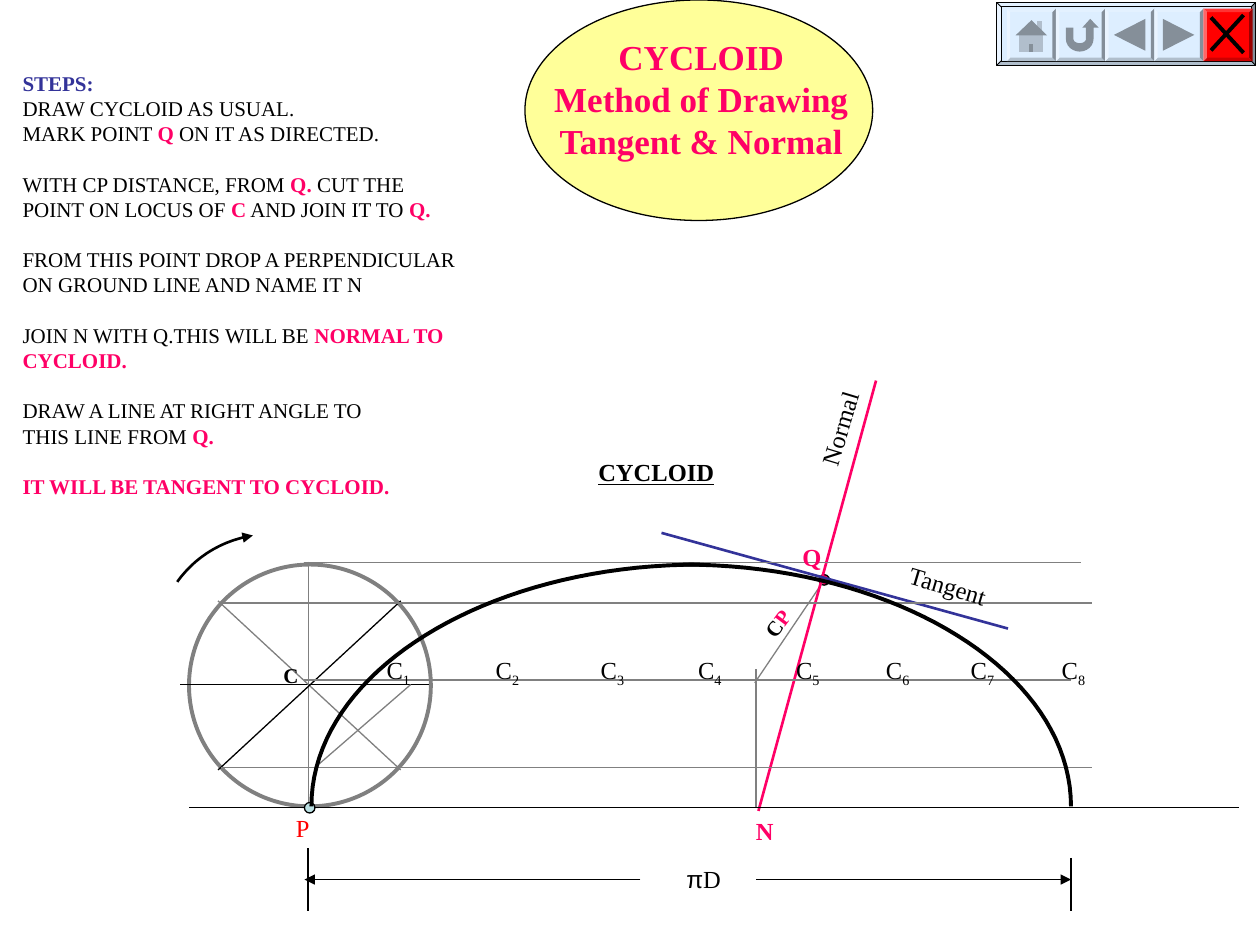
from math import cos, pi, sin

from lxml.etree import SubElement
from pptx import Presentation
from pptx.dml.color import RGBColor
from pptx.enum.shapes import MSO_CONNECTOR, MSO_SHAPE
from pptx.enum.text import MSO_AUTO_SIZE, PP_ALIGN
from pptx.oxml.ns import qn
from pptx.util import Pt


class Theme:
    black, white, gray = "000000", "FFFFFF", "808080"
    pink, blue, red = "FF0066", "333399", "FF0000"
    yellow, dot = "FFFF99", "BBE0E3"
    button, icon, icon_light = "DDEEFF", "858F99", "B1BECC"
    title, label, body = 20, 14, 12
    font, symbol_font = "Times New Roman", "Arial"
    thin, medium, thick = 0.75, 1.5, 2.25


def write(text, left, top, width, height, *, size=Theme.label, color=Theme.black,
          bold=False, underline=False, accent=None, align=PP_ALIGN.LEFT,
          wrap=False, rotation=0, gap=0):
    """Text between asterisks takes the accent format; a blank line gives a gap."""
    box = slide.shapes.add_textbox(Pt(left), Pt(top), Pt(width), Pt(height))
    box.rotation = rotation
    frame = box.text_frame
    frame.word_wrap = wrap
    frame.auto_size = MSO_AUTO_SIZE.SHAPE_TO_FIT_TEXT
    para = None
    for block in text.split("\n\n"):
        for number, line in enumerate(block.split("\n")):
            first = para is None
            para = frame.paragraphs[0] if first else frame.add_paragraph()
            para.alignment = align
            if gap and number == 0 and not first:
                para.space_before = Pt(gap)
            for index, piece in enumerate(line.split("*")):
                if not piece:
                    continue
                style = {"font": Theme.font, "color": color, "bold": bold}
                if index % 2:
                    style.update(accent)
                span = para.add_run()
                span.text = piece
                span.font.name = style["font"]
                span.font.size = Pt(size)
                span.font.bold = style["bold"]
                span.font.underline = underline
                span.font.color.rgb = RGBColor.from_string(style["color"])
                if "baseline" in style:
                    span.font._element.set("baseline", style["baseline"])
    return box


def finish(shape, fill=None, line=None, width=Theme.thin, arrow=False):
    """Set fill, line and arrowhead, and take the shadow away."""
    if fill:
        shape.fill.solid()
        shape.fill.fore_color.rgb = RGBColor.from_string(fill)
    elif hasattr(shape, "fill"):
        shape.fill.background()
    if line:
        shape.line.color.rgb = RGBColor.from_string(line)
        shape.line.width = Pt(width)
    else:
        shape.line.fill.background()
    if arrow:
        SubElement(shape.line._get_or_add_ln(), qn("a:tailEnd"), type="triangle")
    SubElement(shape._element.spPr, qn("a:effectLst"))


deck = Presentation()
deck.slide_width, deck.slide_height = Pt(720), Pt(540)
slide = deck.slides.add_slide(deck.slide_layouts[6])

# Ellipses: point Q, title, rolling circle
for left, top, width, height, fill, line, weight in [
    (468, 328.4, 6, 6, Theme.pink, Theme.black, Theme.thin),
    (300, 0, 198.7, 126, Theme.yellow, Theme.black, Theme.thin),
    (108, 322.6, 138.2, 138.2, Theme.white, Theme.gray, Theme.thick),
]:
    oval = slide.shapes.add_shape(MSO_SHAPE.OVAL, Pt(left), Pt(top), Pt(width), Pt(height))
    finish(oval, fill, line, weight)

# Straight lines, then the two halves of the dimension line
for x1, y1, x2, y2, color, weight, arrow in [
    (471.6, 330.5, 431.3, 390.2, Theme.gray, Theme.thin, False),
    (432, 382.5, 432, 461, Theme.gray, Theme.thin, False),
    (433.4, 463.4, 500.6, 217.5, Theme.pink, Theme.medium, False),
    (378, 304.5, 576, 359.2, Theme.blue, Theme.medium, False),
    (108, 461.4, 708, 461.4, Theme.black, Theme.thin, False),
    (176.4, 321, 176.4, 462, Theme.gray, Theme.thin, False),
    (103, 391.2, 245, 391.2, Theme.black, Theme.thin, False),
    (124.6, 343.4, 229, 440, Theme.gray, Theme.thin, False),
    (229, 343.4, 124.6, 440, Theme.black, Theme.thin, False),
    (174, 388.6, 612, 388.6, Theme.gray, Theme.thin, False),
    (126, 438.6, 624, 438.6, Theme.gray, Theme.thin, False),
    (126, 344.6, 624, 344.6, Theme.gray, Theme.thin, False),
    (174, 321.6, 618, 321.6, Theme.gray, Theme.thin, False),
    (234.7, 391.2, 180, 438.6, Theme.gray, Theme.thin, False),
    (176, 484.6, 176, 520.6, Theme.black, Theme.thin, False),
    (612, 490.3, 612, 520.6, Theme.black, Theme.thin, False),
    (366, 502.6, 174, 502.6, Theme.black, Theme.thin, True),
    (432, 502.6, 612, 502.6, Theme.black, Theme.thin, True),
]:
    connector = slide.shapes.add_connector(
        MSO_CONNECTOR.STRAIGHT, Pt(x1), Pt(y1), Pt(x2), Pt(y2))
    finish(connector, line=color, width=weight, arrow=arrow)

# Point P on the ground line
point = slide.shapes.add_shape(MSO_SHAPE.OVAL, Pt(174), Pt(458.6), Pt(6), Pt(6))
finish(point, Theme.dot, Theme.black)

# Rolling arrow and the two halves of the cycloid, as Bezier curves
STEPS = 40
for controls, weight, arrow in [
    ([(101.3, 332.5), (111.6, 318.2), (126.7, 308.9), (144.5, 306)], Theme.medium, True),
    ([(400, 322.6), (277.2, 322.6), (178, 384.5), (178, 460.8)], Theme.thick, False),
    ([(390.2, 322.6), (512.6, 322.6), (612, 384.5), (612, 460.8)], Theme.thick, False),
]:
    curve = []
    for step in range(STEPS + 1):
        t = step / STEPS
        weights = [(1 - t) ** 3, 3 * t * (1 - t) ** 2, 3 * t * t * (1 - t), t ** 3]
        curve.append([Pt(sum(w * c[axis] for w, c in zip(weights, controls)))
                      for axis in (0, 1)])
    builder = slide.shapes.build_freeform(*curve[0])
    builder.add_line_segments(curve[1:], close=False)
    finish(builder.convert_to_shape(), line=Theme.black, width=weight, arrow=arrow)

# Title and steps
write("CYCLOID\nMethod of Drawing\nTangent & Normal", 305.7, 16.6, 190, 79.2,
      size=Theme.title, color=Theme.pink, bold=True, align=PP_ALIGN.CENTER)
pink_bold = {"color": Theme.pink, "bold": True}
steps = write("""*STEPS:*
DRAW CYCLOID AS USUAL.
MARK POINT *Q* ON IT AS DIRECTED.

WITH CP DISTANCE, FROM *Q. *CUT THE
POINT ON LOCUS OF *C* AND JOIN IT TO *Q.*

FROM THIS POINT DROP A PERPENDICULAR
ON GROUND LINE AND NAME IT N

JOIN N WITH Q.THIS WILL BE* NORMAL TO CYCLOID.*

DRAW A LINE AT RIGHT ANGLE TO
THIS LINE FROM* Q.*

*IT WILL BE TANGENT TO CYCLOID.*""", 5.8, 36.7, 293.8, 252,
              size=Theme.body, accent=pink_bold, wrap=True, gap=14.4)
heading = steps.text_frame.paragraphs[0].runs[0]
heading.font.color.rgb = RGBColor.from_string(Theme.blue)

# Labels of the drawing
write("Q", 451.4, 306, 25.2, 24.5, color=Theme.pink, bold=True)
write("N", 424.8, 463, 24.5, 24.5, color=Theme.pink, bold=True)
write("P", 162, 460.8, 22.3, 24.5, color=Theme.red)
write("C", 154.8, 375.1, 23, 21.6, size=Theme.body, bold=True)
write("C*P*", 429.1, 345.6, 30.2, 21.6, size=Theme.body, bold=True,
      accent=pink_bold, rotation=306.7)
write("Normal", 449.9, 232.6, 60, 24.5, align=PP_ALIGN.CENTER, rotation=286.7)
write("Tangent", 509.8, 322.6, 63.4, 24.5, align=PP_ALIGN.CENTER, rotation=16.6)
write("CYCLOID", 334.8, 257.8, 80.6, 24.5, bold=True, underline=True)
write("*π*D", 372.2, 490.3, 59.8, 24.5, accent={"font": Theme.symbol_font},
      align=PP_ALIGN.CENTER, wrap=True)

# Centres C1 to C8 on tab stops
centres = write("\t".join(f"C*{number}*" for number in range(1, 9)),
                213.8, 370.8, 414, 26.6, accent={"baseline": "-25000"}, wrap=True)
tab_list = SubElement(centres.text_frame.paragraphs[0]._p.get_or_add_pPr(), qn("a:tabLst"))
for stop in (62.4, 122.4, 178, 234, 285.4, 333.8, 385.8):
    SubElement(tab_list, qn("a:tab"), pos=str(Pt(stop)), algn="l")

# Navigation bar: frame and five buttons
bevels = [(569.5, 1.4, 148, 36, Theme.button, Theme.black)]
for index in range(5):
    fill = Theme.red if index == 4 else Theme.button
    bevels.append((575.3 + 28.1 * index, 5, 28.1, 30, fill, None))
for left, top, width, height, fill, line in bevels:
    bevel = slide.shapes.add_shape(MSO_SHAPE.BEVEL, Pt(left), Pt(top), Pt(width), Pt(height))
    bevel.adjustments[0] = 0.07
    finish(bevel, fill, line, 0.5)

# Icons: home, return, back, forward
angles = [pi * step / 12 for step in range(13)]
inner = [(617 - 3.6 * cos(a), 22.3 + 2.4 * sin(a)) for a in angles]
outer = [(617 + 7.9 * cos(a), 22.3 + 7.2 * sin(a)) for a in angles]
return_arrow = ([(609.1, 15.8), (613.4, 15.8)] + inner
                + [(620.6, 15.8), (618.5, 15.8), (623, 10.8), (627.8, 15.8), (624.9, 15.8)]
                + outer)
for color, outline in [
    (Theme.icon_light, [(592.6, 12.2), (595.4, 12.2), (595.4, 18), (592.6, 18)]),
    (Theme.icon_light, [(582.5, 20.2), (596.2, 20.2), (596.2, 29.5), (582.5, 29.5)]),
    (Theme.icon, [(589.4, 11.5), (598.3, 20.2), (580.3, 20.2)]),
    (Theme.icon, [(588.2, 25.2), (590.4, 25.2), (590.4, 29.5), (588.2, 29.5)]),
    (Theme.icon, return_arrow),
    (Theme.icon, [(636.5, 20), (654.5, 10.8), (654.5, 29)]),
    (Theme.icon, [(664.5, 10.8), (682.5, 20), (664.5, 29)]),
]:
    corners = [(Pt(x), Pt(y)) for x, y in outline]
    builder = slide.shapes.build_freeform(*corners[0])
    builder.add_line_segments(corners[1:])
    finish(builder.convert_to_shape(), color)

# Cross on the close button
for x1, y1, x2, y2 in [(692, 10, 710.6, 30.2), (710.6, 8.6, 692, 28.8)]:
    connector = slide.shapes.add_connector(
        MSO_CONNECTOR.STRAIGHT, Pt(x1), Pt(y1), Pt(x2), Pt(y2))
    finish(connector, line=Theme.black, width=Theme.thick)

deck.save("out.pptx")
